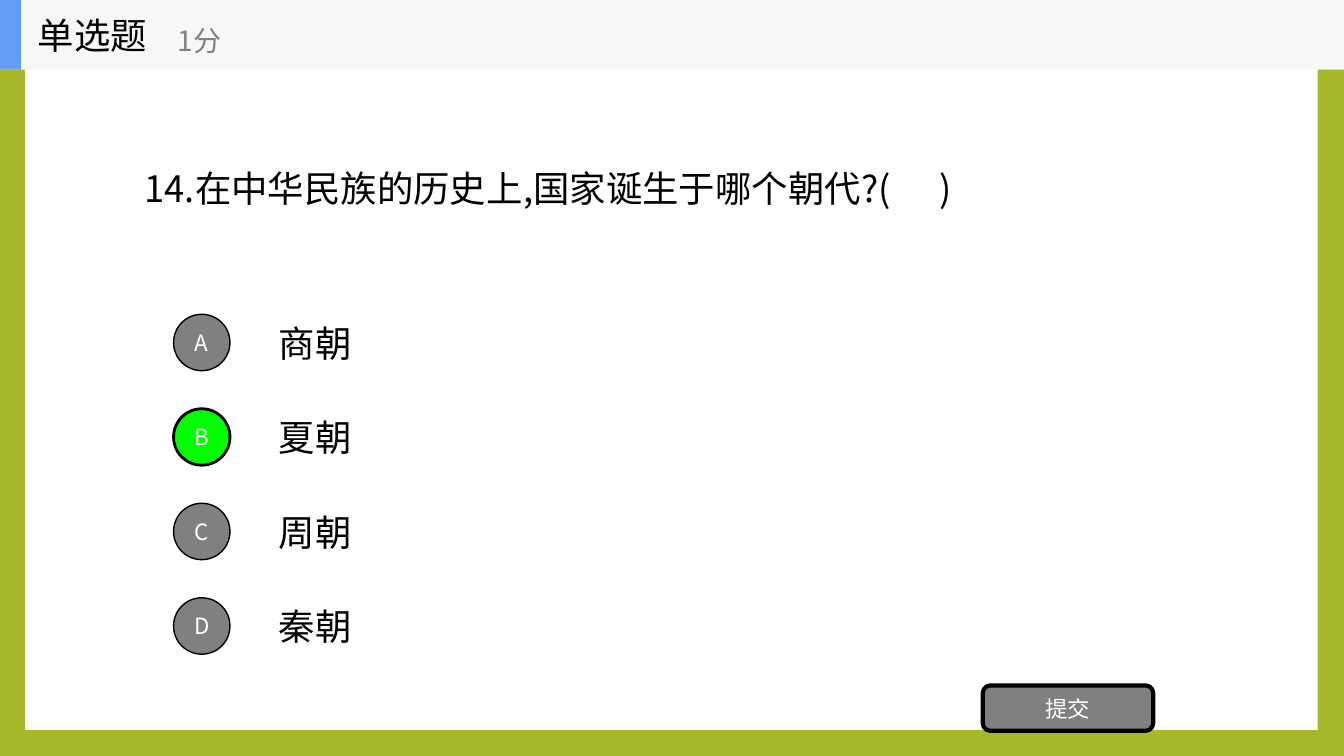
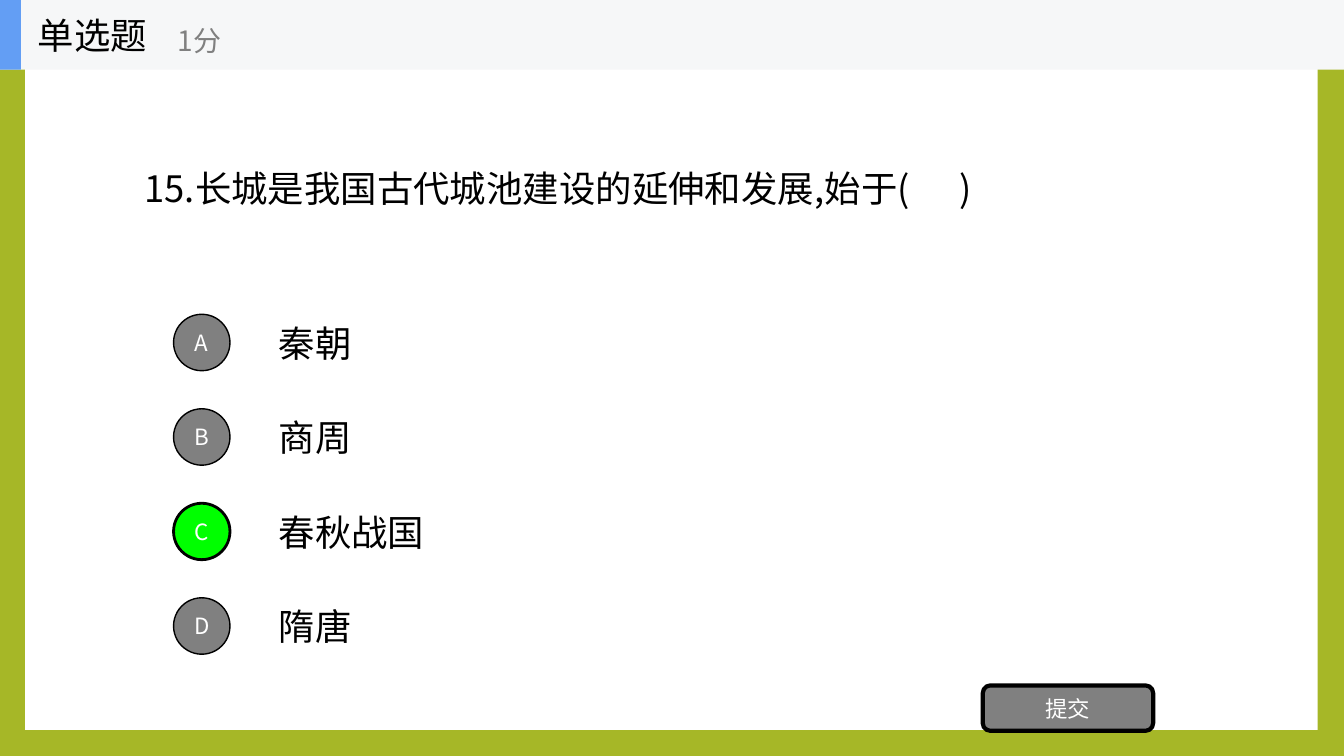
"""Build two single-choice quiz slides on Chinese history."""
from lxml import etree
from pptx import Presentation
from pptx.dml.color import RGBColor
from pptx.enum.shapes import MSO_SHAPE
from pptx.enum.text import MSO_ANCHOR, MSO_AUTO_SIZE, PP_ALIGN
from pptx.oxml.ns import qn
from pptx.util import Pt

RECT, OVAL, ROUND = MSO_SHAPE.RECTANGLE, MSO_SHAPE.OVAL, MSO_SHAPE.ROUNDED_RECTANGLE
MIDDLE = MSO_ANCHOR.MIDDLE
LEFT, CENTER = PP_ALIGN.LEFT, PP_ALIGN.CENTER
GROW, FIXED = MSO_AUTO_SIZE.SHAPE_TO_FIT_TEXT, MSO_AUTO_SIZE.NONE

OLIVE = RGBColor(0xA6, 0xB7, 0x27)
WHITE = RGBColor(0xFF, 0xFF, 0xFF)
BLACK = RGBColor(0x00, 0x00, 0x00)
GRAY = RGBColor(0x80, 0x80, 0x80)
GREEN = RGBColor(0x00, 0xFF, 0x00)
PALE = RGBColor(0xF6, 0xF7, 0xF8)
BLUE = RGBColor(0x63, 0x9E, 0xF4)
FONT = "Noto Sans CJK SC"

WIDTH, HEIGHT = 960, 540
BAND = 49.7
DOT, PITCH = 40.3, 67.5

QUIZ = [
    ("14.在中华民族的历史上,国家诞生于哪个朝代?(      )", 609,
     ["商朝", "夏朝", "周朝", "秦朝"], "B"),
    ("15.长城是我国古代城池建设的延伸和发展,始于(      )", 631,
     ["秦朝", "商周", "春秋战国", "隋唐"], "C"),
]


def write(shape, text, size=26, color=BLACK, align=LEFT, wrap=True, fit=FIXED):
    frame = shape.text_frame
    frame.word_wrap = wrap
    frame.auto_size = fit
    frame.vertical_anchor = MIDDLE
    para = frame.paragraphs[0]
    para.alignment = align
    run = para.add_run()
    run.text = text
    run.font.size = Pt(size)
    run.font.name = FONT
    run.font.color.rgb = color
    etree.SubElement(run.font._element, qn("a:ea"), typeface=FONT)


def draw(shapes, kind, box, fill, line=0):
    shape = shapes.add_shape(kind, *map(Pt, box))
    shape.shadow.inherit = False
    shape.fill.solid()
    shape.fill.fore_color.rgb = fill
    if line:
        shape.line.color.rgb = BLACK
        shape.line.width = Pt(line)
    else:
        shape.line.fill.background()
    return shape


deck = Presentation()
deck.slide_width, deck.slide_height = Pt(WIDTH), Pt(HEIGHT)
layout = deck.slide_layouts.get_by_name("Title Only")
back = deck.slide_master.background.fill
back.solid()
back.fore_color.rgb = OLIVE

for ask, width, picks, answer in QUIZ:
    slide = deck.slides.add_slide(layout)
    shapes = slide.shapes

    title = shapes.title
    title.left, title.top, title.width, title.height = map(Pt, (96, 115.2, width, 38.2))
    write(title, ask, fit=GROW)

    for row, (key, pick) in enumerate(zip("ABCD", picks)):
        top = 224.5 + row * PITCH
        label = shapes.add_textbox(Pt(192), Pt(top + 1), Pt(22 + 26 * len(pick)), Pt(38.2))
        write(label, pick, fit=GROW)
        right = key == answer
        dot = draw(shapes, OVAL, (124, top, DOT, DOT),
                   GREEN if right else GRAY, 2 if right else 1)
        write(dot, key, size=16, color=WHITE, align=CENTER)

    button = draw(shapes, ROUND, (702, 489.6, 121.7, 32.4), GRAY, 3)
    write(button, "提交", size=16, color=WHITE, align=CENTER)

    head = shapes.add_group_shape().shapes
    draw(head, RECT, (0, 0, WIDTH, BAND), PALE)
    draw(head, RECT, (0, 0, 15, BAND), BLUE)
    name = head.add_textbox(Pt(20), Pt(0), Pt(150), Pt(BAND))
    write(name, "单选题", wrap=False)
    score = head.add_textbox(Pt(120), Pt(8.7), Pt(180), Pt(40.3))
    write(score, "1分", size=20, color=GRAY, wrap=False)

panel = draw(shapes, RECT, (18, 19.4, 923.3, 502), WHITE)
layout.shapes.element.insert(2, panel.element)

deck.save("out.pptx")
